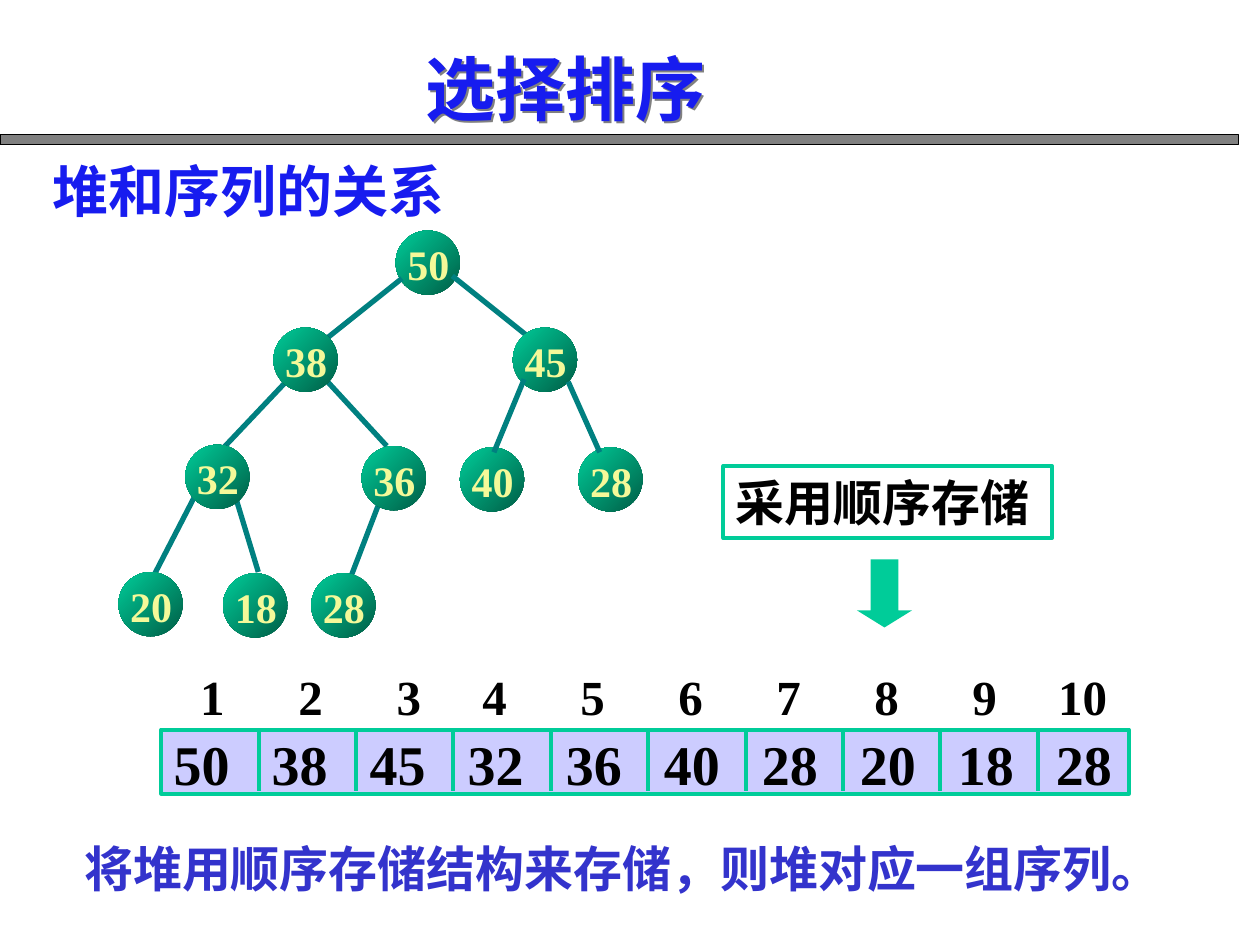
from typing import NamedTuple

from lxml.etree import SubElement
from pptx import Presentation
from pptx.dml.color import RGBColor
from pptx.enum.shapes import MSO_CONNECTOR, MSO_SHAPE
from pptx.enum.text import MSO_ANCHOR, PP_ALIGN
from pptx.oxml.ns import qn
from pptx.util import Inches, Pt

# Grid of 100 columns by 75 rows
CELL = Inches(0.1)
COLORS = {
    "title": "171CEF", "note": "3333CC", "text": "000000", "bar": "808080",
    "green": "00CC99", "dark": "005E46", "edge": "008080", "key": "F4F999",
    "array": "CCCCFF",
}
SERIF, SANS, CJK = "Times New Roman", "Arial", "Noto Sans CJK SC"
NODE_SIZE = 5.1


class Box(NamedTuple):
    col: float
    row: float
    cols: float
    rows: float


class Node(NamedTuple):
    key: int
    col: float
    row: float


class Edge(NamedTuple):
    col1: float
    row1: float
    col2: float
    row2: float


class Label(NamedTuple):
    text: str
    box: Box
    size: int
    color: str
    font: str = SERIF


ROOT = Node(50, 31.4, 18.3)
NODES = [
    Node(38, 21.7, 26), Node(45, 40.7, 26),
    Node(32, 14.7, 35.3), Node(36, 28.7, 35.4),
    Node(40, 36.5, 35.5), Node(28, 45.9, 35.5),
    Node(20, 9.4, 45.4), Node(18, 17.7, 45.5), Node(28, 24.7, 45.5),
]
BACK_EDGES = [
    Edge(31.9, 22.1, 26, 26.8), Edge(35.9, 21.9, 41.9, 26.7),
    Edge(22.7, 30.3, 17.4, 35.9), Edge(26, 30.3, 30.7, 35.4),
    Edge(15.5, 39.3, 12.2, 45.7), Edge(18.8, 39.8, 20.5, 45.4),
    Edge(30.1, 39.9, 27.3, 47.2),
]
FRONT_EDGES = [Edge(41.6, 30.1, 39.2, 35.9), Edge(45.1, 30.3, 47.6, 35.9)]

TITLE = Label("选择排序", Box(32.8, 3.1, 31.7, 7.7), 40, "title", CJK)
LABELS = [
    Label("堆和序列的关系", Box(3.2, 11.9, 39.9, 6.4), 32, "title"),
    Label("将堆用顺序存储结构来存储，则堆对应一组序列。",
          Box(5.7, 66, 91, 5.7), 28, "note", SANS),
]
CALLOUT = Label("采用顺序存储", Box(57.4, 37, 26.1, 5.7), 28, "text")

# Sequence array: cell pitch, and the narrower steps before 4 and 10
ARRAY = Box(12.8, 57.9, 76.8, 5.1)
DIVIDER_PITCH = 7.73
KEY_TABS = [7.78 * i for i in range(1, 10)]
INDEX_STEPS = [7.8, 7.8, 6.8] + [7.78] * 5 + [6.8]
INDEX_TABS = [sum(INDEX_STEPS[:i]) for i in range(1, 10)]


def grid(n: float) -> int:
    return round(n * CELL)


def rgb(name: str) -> RGBColor:
    return RGBColor.from_string(COLORS[name])


def add_shape(s, kind, box: Box, fill=None, line=None, width=2.25):
    sp = s.shapes.add_shape(kind, *map(grid, box))
    sp.shadow.inherit = False
    if fill:
        sp.fill.solid()
        sp.fill.fore_color.rgb = rgb(fill)
    else:
        sp.fill.background()
    if line:
        sp.line.color.rgb = rgb(line)
        sp.line.width = Pt(width)
    else:
        sp.line.fill.background()
    return sp


def add_line(s, edge: Edge, color: str, width: float) -> None:
    ln = s.shapes.add_connector(MSO_CONNECTOR.STRAIGHT, *map(grid, edge))
    ln.line.color.rgb = rgb(color)
    ln.line.width = Pt(width)
    SubElement(ln._element.spPr, qn("a:effectLst"))


def write(sp, label: Label, align=PP_ALIGN.LEFT, anchor=MSO_ANCHOR.MIDDLE,
          insets=(0.1, 0.05, 0.1, 0.05), tabs=()) -> None:
    tf = sp.text_frame
    tf.word_wrap = True
    tf.vertical_anchor = anchor
    (tf.margin_left, tf.margin_top,
     tf.margin_right, tf.margin_bottom) = map(Inches, insets)
    p = tf.paragraphs[0]
    p.alignment = align
    p.add_run().text = label.text
    p.font.name, p.font.size, p.font.bold = label.font, Pt(label.size), True
    p.font.color.rgb = rgb(label.color)
    pPr = p._p.get_or_add_pPr()
    SubElement(pPr.find(qn("a:defRPr")), qn("a:ea"), typeface=CJK)
    if tabs:
        tab_list = pPr.makeelement(qn("a:tabLst"), {})
        pPr.insert(0, tab_list)
        for tab in tabs:
            SubElement(tab_list, qn("a:tab"), pos=str(grid(tab)), algn="l")


def add_label(s, label: Label, **options):
    sp = s.shapes.add_textbox(*map(grid, label.box))
    write(sp, label, **options)
    return sp


def add_node(s, node: Node) -> None:
    sp = add_shape(s, MSO_SHAPE.OVAL,
                   Box(node.col, node.row, NODE_SIZE, NODE_SIZE))
    sp.fill.gradient()
    sp.fill.gradient_angle = 135
    for stop, color in zip(sp.fill.gradient_stops, ("dark", "green")):
        stop.color.rgb = rgb(color)
    box = Box(node.col - 0.4, node.row + 0.35, 5.9, 4.4)
    add_label(s, Label(str(node.key), box, 24, "key"), align=PP_ALIGN.CENTER,
              anchor=MSO_ANCHOR.TOP, insets=(0.01, 0.03, 0, 0.01))


def add_tree(s) -> None:
    add_node(s, ROOT)
    for edge in BACK_EDGES:
        add_line(s, edge, "edge", 3)
    for node in NODES:
        add_node(s, node)
    for edge in FRONT_EDGES:
        add_line(s, edge, "edge", 3)


def add_array(s) -> None:
    keys = "\t".join(str(node.key) for node in [ROOT, *NODES])
    sp = add_shape(s, MSO_SHAPE.RECTANGLE, ARRAY, "array", "green")
    write(sp, Label(keys, ARRAY, 32, "text"), anchor=MSO_ANCHOR.TOP,
          insets=(0.1, 0, 0, 0), tabs=KEY_TABS)
    for i in range(1, 10):
        col = ARRAY.col + DIVIDER_PITCH * i
        add_line(s, Edge(col, ARRAY.row, col, ARRAY.row + 4.9), "green", 2.25)
    indices = "\t".join(str(i) for i in range(1, 11))
    add_label(s, Label(indices, Box(14.9, 52.9, 75.6, 4.7), 28, "text"),
              anchor=MSO_ANCHOR.TOP, insets=(0.1, 0, 0.1, 0),
              tabs=INDEX_TABS)


def main() -> None:
    prs = Presentation()
    prs.slide_width, prs.slide_height = grid(100), grid(75)
    s = prs.slides.add_slide(prs.slide_layouts[6])

    # Heading bar, title with shadow, and captions
    add_shape(s, MSO_SHAPE.RECTANGLE, Box(0, 10.7, 98.3, 0.8),
              "bar", "text", 0.75)
    title = add_label(s, TITLE)
    effects = SubElement(title._element.spPr, qn("a:effectLst"))
    shadow = SubElement(effects, qn("a:outerShdw"), dist="20000", dir="2700000")
    SubElement(shadow, qn("a:srgbClr"), val=COLORS["bar"])
    for label in LABELS:
        add_label(s, label)

    # Heap and its sequential storage
    add_tree(s)
    add_array(s)
    write(add_shape(s, MSO_SHAPE.RECTANGLE, CALLOUT.box, line="green"), CALLOUT)
    arrow = add_shape(s, MSO_SHAPE.DOWN_ARROW, Box(68, 44.4, 4.4, 5.4), "green")
    arrow.adjustments[0], arrow.adjustments[1] = 0.5, 0.31

    prs.save("out.pptx")


if __name__ == "__main__":
    main()
